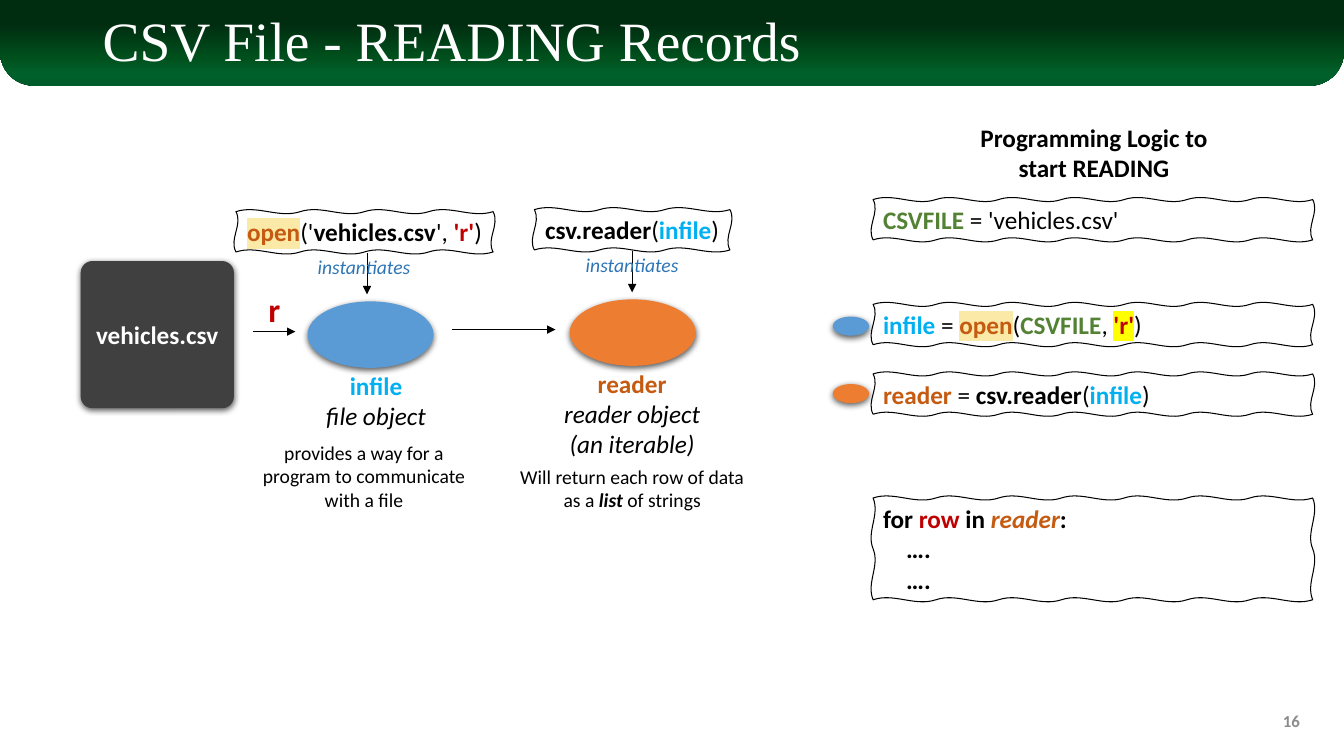
import pptx
import pptx.util
import pptx.dml.color
import pptx.enum.shapes
import pptx.enum.text
import pptx.oxml
import pptx.oxml.ns

PX = 9144
HUE = {
    "black": "000000", "white": "FFFFFF", "slate": "404040", "gray": "8C8C8C",
    "blue": "5B9BD5", "orange": "ED7D31", "sky": "00B0F0", "rust": "C55A11",
    "red": "C00000", "green": "548235", "navy": "2E75B6",
    "sand": "FBE9A8", "yellow": "FFFF00",
}
BANNER = [(0, "002D10"), (28, "002D10"), (68, "00501D"), (85, "00602B"), (100, "005C2B")]
KIND = pptx.enum.shapes.MSO_SHAPE
ALIGN = pptx.enum.text.PP_ALIGN
ANCHOR = pptx.enum.text.MSO_ANCHOR


def color(name):
    """Return the named colour."""
    return pptx.dml.color.RGBColor.from_string(HUE[name])


def node(tag, body="", **attrs):
    """Return a drawing element with the given attributes."""
    pairs = "".join(f' {key}="{val}"' for key, val in attrs.items())
    return pptx.oxml.parse_xml(f'<a:{tag} {pptx.oxml.ns.nsdecls("a")}{pairs}>{body}</a:{tag}>')


def write(shape, paras, size=18, align=ALIGN.CENTER, anchor=ANCHOR.TOP,
          wrap=True, face="Calibri", indent=0):
    """Fill a shape with paragraphs of (text, colour, style, highlight) runs."""
    frame = shape.text_frame
    frame.word_wrap = wrap
    frame.vertical_anchor = anchor
    for num, runs in enumerate(paras):
        para = frame.paragraphs[0] if num == 0 else frame.add_paragraph()
        para.alignment = align
        para.font.size = pptx.util.Pt(size)
        para.font.name = face
        if num and indent:
            para._p.get_or_add_pPr().set("marL", str(indent * PX))
        for text, hue, style, *mark in runs:
            run = para.add_run()
            run.text = text
            run.font.bold = "b" in style
            run.font.italic = "i" in style
            run.font.color.rgb = color(hue)
            for name in mark:
                run.font._element.append(node("highlight", f'<a:srgbClr val="{HUE[name]}"/>'))


def label(slide, box, paras, **look):
    """Add a text box."""
    shape = slide.shapes.add_textbox(*(n * PX for n in box))
    write(shape, paras, **look)
    return shape


def solid(slide, kind, box, hue):
    """Add a filled shape with a soft shadow below it."""
    shape = slide.shapes.add_shape(kind, *(n * PX for n in box))
    shape.fill.solid()
    shape.fill.fore_color.rgb = color(hue)
    shape.line.fill.background()
    shape.shadow.inherit = False
    shade = '<a:srgbClr val="000000"><a:alpha val="63000"/></a:srgbClr>'
    glow = node("outerShdw", shade, blurRad=57150, dist=19050, dir=5400000, rotWithShape=0)
    shape._element.spPr.find(pptx.oxml.ns.qn("a:effectLst")).append(glow)
    return shape


def bend(shape, depth):
    """Turn each straight side of a freeform into one gentle wave."""
    sides = list(shape._element.iter(pptx.oxml.ns.qn("a:lnTo")))
    spots = [(int(pt.get("x")), int(pt.get("y")))
             for pt in shape._element.iter(pptx.oxml.ns.qn("a:pt"))]
    for side, (ax, ay), (bx, by) in zip(sides, spots, spots[1:]):
        dx, dy = bx - ax, by - ay
        push = depth * PX / max(abs(dx), abs(dy))
        first = (ax + dx / 3 + dy * push, ay + dy / 3 - dx * push)
        second = (bx - dx / 3 - dy * push, by - dy / 3 + dx * push)
        body = "".join(f'<a:pt x="{round(x)}" y="{round(y)}"/>'
                       for x, y in (first, second, (bx, by)))
        side.getparent().replace(side, node("cubicBezTo", body))


def sketch(slide, box, paras, **look):
    """Add an unfilled box with wavy edges."""
    left, top, width, height = (n * PX for n in box)
    cols, rows = round(box[2] / 62), round(box[3] / 45)
    across = [left + width * n // cols for n in range(cols + 1)]
    down = [top + height * n // rows for n in range(rows + 1)]
    points = [(x, top) for x in across[1:]]
    points += [(left + width, y) for y in down[1:]]
    points += [(x, top + height) for x in across[-2::-1]]
    points += [(left, y) for y in down[-2::-1]]
    pen = slide.shapes.build_freeform(left, top, scale=1.0)
    pen.add_line_segments(points, close=True)
    shape = pen.convert_to_shape()
    bend(shape, 7)
    shape.fill.background()
    shape.line.color.rgb = color("black")
    shape.line.width = pptx.util.Pt(0.75)
    shape.shadow.inherit = False
    write(shape, paras, anchor=ANCHOR.MIDDLE, **look)


def arrow(slide, *ends):
    """Add a thin arrow from one point to another."""
    line = slide.shapes.add_connector(
        pptx.enum.shapes.MSO_CONNECTOR.STRAIGHT, *(n * PX for n in ends))
    line.line.color.rgb = color("black")
    line.line.width = pptx.util.Pt(0.5)
    line.line._get_or_add_ln().append(node("tailEnd", type="triangle"))
    line._element.spPr.append(node("effectLst"))


def header(slide, box):
    """Draw the title banner."""
    left, top, width, height = box
    shape = slide.shapes.add_shape(KIND.ROUND_2_SAME_RECTANGLE, *(n * PX for n in box))
    shape.adjustments[0], shape.adjustments[1] = 0, 0.4
    shape.line.fill.background()
    shape.shadow.inherit = False
    shape.fill.gradient()
    shape.fill.gradient_angle = 270
    stops = shape._element.spPr.find(".//" + pptx.oxml.ns.qn("a:gsLst"))
    stops[:] = [node("gs", f'<a:srgbClr val="{hue}"/>', pos=spot * 1000) for spot, hue in BANNER]
    title = label(slide, (left + 92, top + 13, 1150, 61),
                  [[("CSV File - READING Records", "white", "")]], size=39.6,
                  align=ALIGN.LEFT, anchor=ANCHOR.MIDDLE, face="Times New Roman")
    title.text_frame.paragraphs[0].line_spacing = 0.9


def stage(slide, mid, top, shift, call, wide, hue, name, note, drop):
    """Draw one object with its call above and its notes below."""
    solid(slide, KIND.OVAL, (mid + shift - 62, top + 89, 125, 66), hue)
    label(slide, (mid + 2 * shift - 78, top + 152, 156, 30 * len(name) + 11), name, wrap=False)
    sketch(slide, (mid - wide // 2, top, wide, 40), [call], wrap=False)
    arrow(slide, mid + shift // 2, top + 41, mid + shift // 2, top + 82)
    label(slide, (mid - 57, top + 38, 114, 34), [[("instantiates", "navy", "i")]],
          size=14, wrap=False)
    label(slide, (mid - 121, top + drop, 242, 81), [note], size=14)


def flow(slide, left, top):
    """Draw the path from the file to the reader."""
    store = solid(slide, KIND.ROUNDED_RECTANGLE, (left, top + 49, 152, 146), "slate")
    store.adjustments[0] = 0.08
    write(store, [[("vehicles.csv", "white", "b")]], anchor=ANCHOR.MIDDLE)
    label(slide, (left + 176, top + 72, 32, 50), [[("r", "red", "b")]], size=24, wrap=False)
    arrow(slide, left + 171, top + 119, left + 213, top + 119)
    arrow(slide, left + 368, top + 117, left + 471, top + 117)
    stage(slide, left + 281, top, 6,
          [("open", "rust", "b", "sand"), ("('", "black", ""), ("vehicles.csv", "black", "b"),
           ("', ", "black", ""), ("'r'", "red", "b"), (")", "black", "")], 255, "blue",
          [[("infile", "sky", "b")], [("file object", "black", "i")]],
          [("provides a way for a program to communicate with a file", "black", "")], 222)
    stage(slide, left + 547, top - 2, 0,
          [("csv.reader", "black", "b"), ("(", "black", ""), ("infile", "sky", "b"),
           (")", "black", "")], 194, "orange",
          [[("reader", "rust", "b")], [("reader object", "black", "i")],
           [("(an iterable)", "black", "i")]],
          [("Will return each row of data as a ", "black", ""), ("list", "black", "bi"),
           (" of strings", "black", "")], 248)


def logic(slide, left, top, width):
    """Draw the column of code steps."""
    label(slide, (left + 95, top, 248, 71),
          [[("Programming Logic to", "black", "b")], [("start READING", "black", "b")]],
          wrap=False)
    dots = [("….", "black", "b")]
    steps = [
        (82, 40, [[("CSVFILE", "green", "b"), (" = 'vehicles.csv'", "black", "")]]),
        (186, 40, [[("infile", "sky", "b"), (" = ", "black", ""), ("open", "rust", "b", "sand"),
                    ("(", "black", ""), ("CSVFILE", "green", "b"), (", ", "black", ""),
                    ("'r'", "red", "b", "yellow"), (")", "black", "")]]),
        (255, 40, [[("reader", "rust", "b"), (" = ", "black", ""), ("csv.reader", "black", "b"),
                    ("(", "black", ""), ("infile", "sky", "b"), (")", "black", "")]]),
        (378, 101, [[("for ", "black", "b"), ("row", "red", "b"), (" in ", "black", "b"),
                     ("reader", "rust", "bi"), (":", "black", "b")], dots, dots]),
    ]
    for down, height, paras in steps:
        sketch(slide, (left, top + down, width, height), paras, align=ALIGN.LEFT, indent=23)
    for down, hue in ((198, "blue"), (265, "orange")):
        solid(slide, KIND.OVAL, (left - 40, top + down, 36, 19), hue)


def main():
    """Build and save the slide."""
    deck = pptx.Presentation()
    deck.slide_width, deck.slide_height = 1333 * PX, 750 * PX
    slide = deck.slides.add_slide(deck.slide_layouts[6])
    header(slide, (0, 0, 1333, 85))
    flow(slide, 80, 210)
    logic(slide, 866, 116, 436)
    label(slide, (999, 695, 300, 40), [[("16", "gray", "b")]], size=12,
          align=ALIGN.RIGHT, anchor=ANCHOR.MIDDLE)
    deck.save("out.pptx")


if __name__ == "__main__":
    main()
